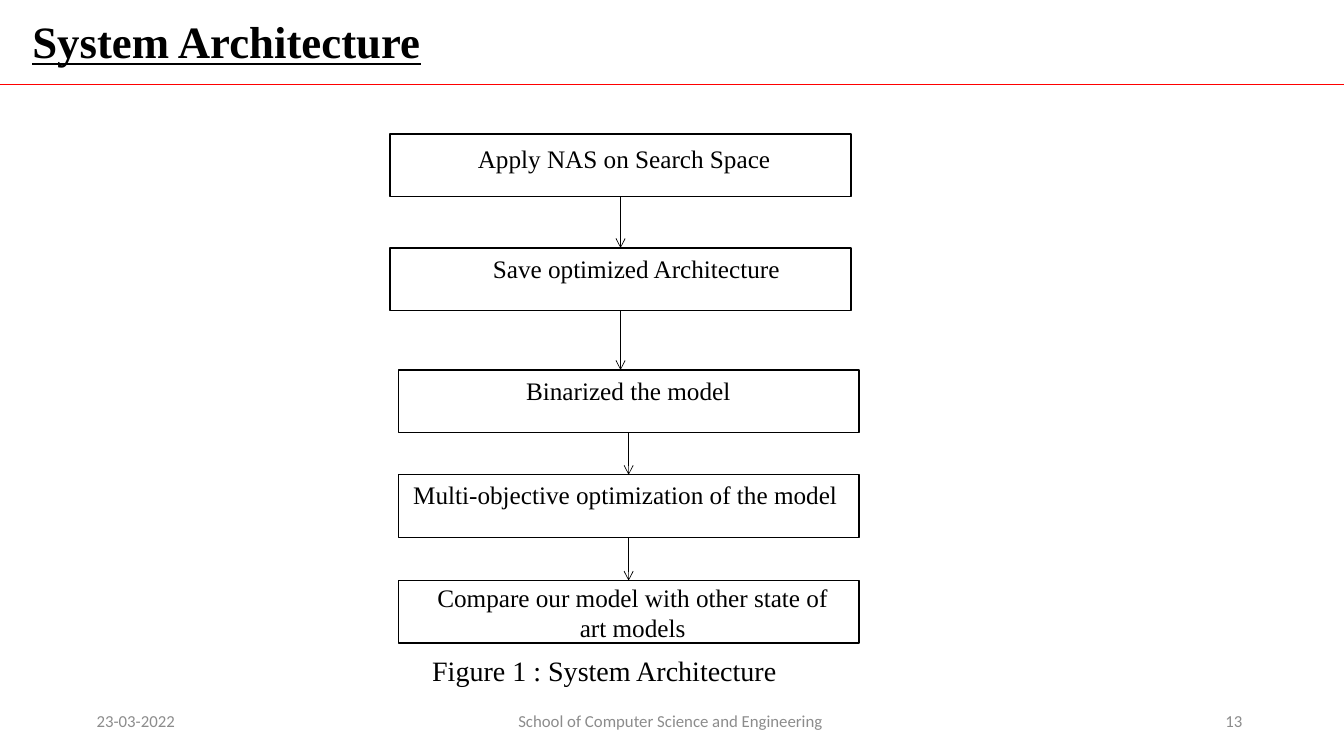
"""Build the System Architecture slide with its five-step flow chart."""
from dataclasses import dataclass
from itertools import pairwise

from lxml.etree import SubElement
from pptx import Presentation
from pptx.dml.color import RGBColor
from pptx.enum.shapes import MSO_CONNECTOR, MSO_SHAPE
from pptx.enum.text import MSO_ANCHOR as Anchor, MSO_AUTO_SIZE, PP_ALIGN as Align
from pptx.oxml.ns import qn
from pptx.shapes.autoshape import Shape
from pptx.shapes.connector import Connector
from pptx.slide import Slide
from pptx.util import Inches, Pt


@dataclass(frozen=True)
class Theme:
    ink: RGBColor = RGBColor(0x00, 0x00, 0x00)
    rule: RGBColor = RGBColor(0xFF, 0x00, 0x00)
    muted: RGBColor = RGBColor(0x8C, 0x8C, 0x8C)
    serif: str = "Times New Roman"
    sans: str = "Calibri"
    title_size: int = 32
    caption_size: int = 20
    label_size: int = 18
    footer_size: int = 12
    box_line: float = 1
    thin_line: float = 0.5


@dataclass(frozen=True)
class Label:
    text: str
    left: float
    top: float
    width: float
    height: float = 0.4
    align: Align = Align.LEFT
    anchor: Anchor = Anchor.TOP
    size: int = Theme.label_size
    font: str = Theme.serif
    color: RGBColor = Theme.ink
    heading: bool = False


@dataclass(frozen=True)
class Step:
    left: float
    top: float
    label: Label


SLIDE_WIDTH, SLIDE_HEIGHT = 13.33, 7.5
BOX_WIDTH, BOX_HEIGHT = 4.57, 0.62
TITLE_ONLY = 5
BOTTOM_SITE, TOP_SITE = 2, 0

TITLE = Label("System Architecture", 0.22, 0.09, 5.56, 0.94,
              size=Theme.title_size, heading=True)
STEPS = (
    Step(3.87, 1.33, Label("Apply NAS on Search Space", 4.64, 1.37, 3.48)),
    Step(3.87, 2.46, Label("Save optimized Architecture", 4.79, 2.46, 3.33)),
    Step(3.95, 3.67, Label("Binarized the model", 5.12, 3.67, 2.54)),
    Step(3.95, 4.71, Label("Multi-objective optimization of the model", 4, 4.71, 4.52)),
    Step(3.95, 5.76, Label("Compare our model with other state of art models",
                           4.11, 5.72, 4.33, 0.71, Align.CENTER, Anchor.MIDDLE)),
)
CAPTION = Label("Figure 1 : System Architecture", 3.81, 6.43, 4.37, 0.44,
                Align.CENTER, size=Theme.caption_size)


def footer(text: str, left: float, width: float, align: Align) -> Label:
    """Describe one item of the footer row."""
    return Label(text, left, 6.95, width, 0.4, align, Anchor.MIDDLE,
                 Theme.footer_size, Theme.sans, Theme.muted)


FOOTERS = (
    footer("23-03-2022", 0.86, 3, Align.LEFT),
    footer("School of Computer Science and Engineering ", 4.42, 4.5, Align.CENTER),
    footer("13", 9.42, 3, Align.RIGHT),
)


def write_label(shape: Shape, label: Label) -> None:
    """Place a text shape and format its wording."""
    shape.left, shape.top = Inches(label.left), Inches(label.top)
    shape.width, shape.height = Inches(label.width), Inches(label.height)
    frame = shape.text_frame
    frame.text = label.text
    frame.word_wrap = True
    frame.auto_size = MSO_AUTO_SIZE.NONE
    frame.vertical_anchor = label.anchor
    paragraph = frame.paragraphs[0]
    paragraph.alignment = label.align
    font = paragraph.runs[0].font
    font.name, font.size = label.font, Pt(label.size)
    font.color.rgb = label.color
    font.bold = font.underline = label.heading


def add_label(slide: Slide, label: Label) -> None:
    """Add a text box for a label."""
    write_label(slide.shapes.add_textbox(0, 0, 0, 0), label)


def add_box(slide: Slide, step: Step) -> Shape:
    """Add the outlined rectangle of a step."""
    box = slide.shapes.add_shape(
        MSO_SHAPE.RECTANGLE, Inches(step.left), Inches(step.top),
        Inches(BOX_WIDTH), Inches(BOX_HEIGHT))
    box.shadow.inherit = False
    box.fill.background()
    box.line.color.rgb = Theme.ink
    box.line.width = Pt(Theme.box_line)
    return box


def add_line(slide: Slide, start: tuple[int, int], end: tuple[int, int],
             color: RGBColor) -> Connector:
    """Add a thin straight line without a shadow."""
    line = slide.shapes.add_connector(MSO_CONNECTOR.STRAIGHT, *start, *end)
    line.line.color.rgb = color
    line.line.width = Pt(Theme.thin_line)
    SubElement(line._element.spPr, qn("a:effectLst"))
    return line


def add_arrow(slide: Slide, upper: Shape, lower: Shape) -> None:
    """Add a vertical arrow from one box down to the next."""
    center = upper.left + upper.width // 2
    arrow = add_line(slide, (center, upper.top + upper.height),
                     (center, lower.top), Theme.ink)
    SubElement(arrow.line._get_or_add_ln(), qn("a:tailEnd"), type="arrow")
    arrow.begin_connect(upper, BOTTOM_SITE)
    if upper.left == lower.left:
        arrow.end_connect(lower, TOP_SITE)


def main() -> None:
    """Build and save the presentation."""
    presentation = Presentation()
    presentation.slide_width = Inches(SLIDE_WIDTH)
    presentation.slide_height = Inches(SLIDE_HEIGHT)
    slide = presentation.slides.add_slide(presentation.slide_layouts[TITLE_ONLY])
    write_label(slide.shapes.title, TITLE)
    rule_top = Inches(0.84)
    add_line(slide, (0, rule_top), (presentation.slide_width, rule_top), Theme.rule)
    boxes = [add_box(slide, step) for step in STEPS]
    for upper, lower in pairwise(boxes):
        add_arrow(slide, upper, lower)
    for label in (*(step.label for step in STEPS), CAPTION, *FOOTERS):
        add_label(slide, label)
    presentation.save("out.pptx")


if __name__ == "__main__":
    main()
